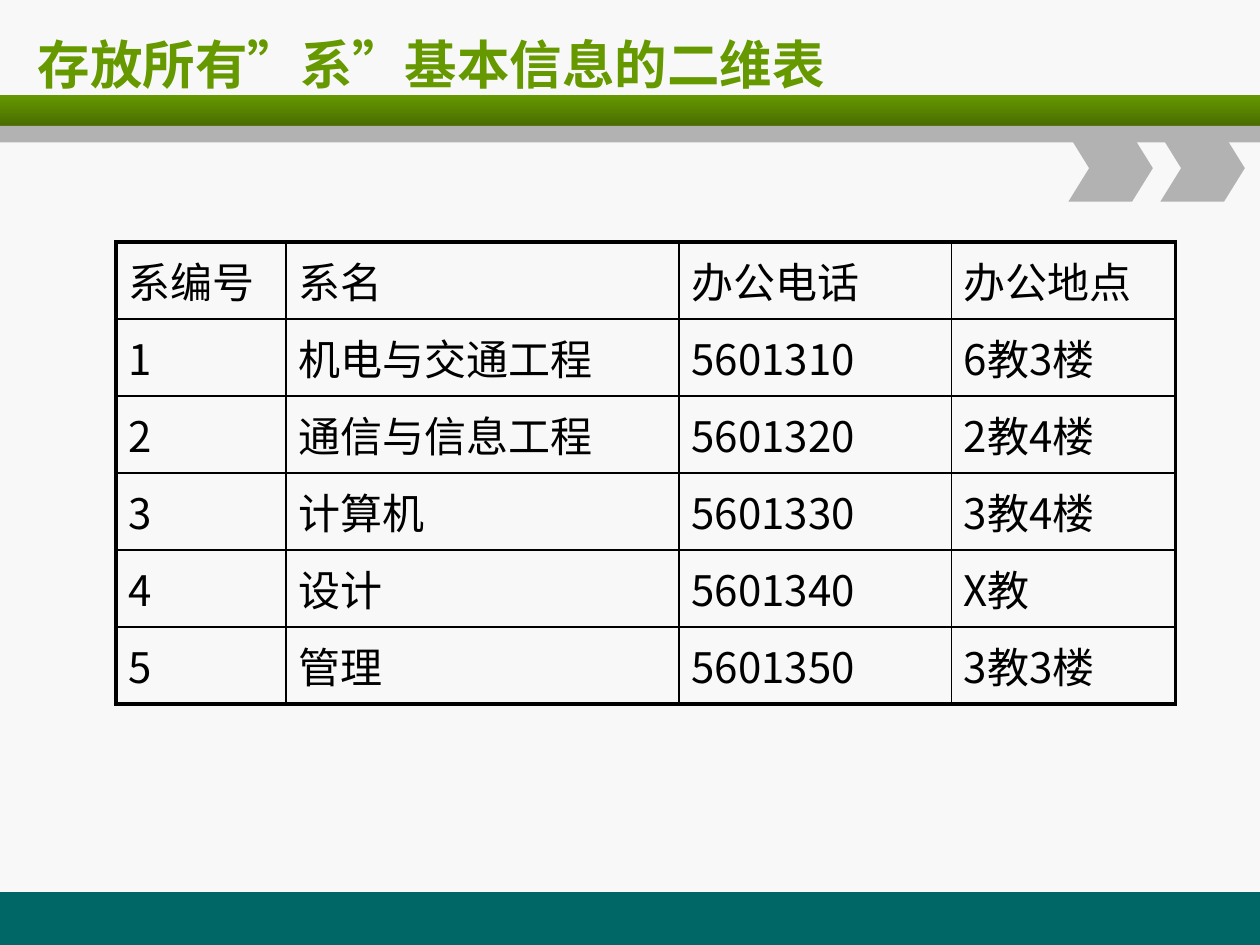
import lxml.etree
import pptx
import pptx.dml.color
import pptx.enum.shapes
import pptx.enum.text
import pptx.oxml.ns
import pptx.util
from pptx.util import Inches

RGBColor = pptx.dml.color.RGBColor
SHAPES = pptx.enum.shapes.MSO_SHAPE
MIDDLE = pptx.enum.text.MSO_ANCHOR.MIDDLE
qn = pptx.oxml.ns.qn

PAPER = RGBColor(0xF8, 0xF8, 0xF8)
TEAL = RGBColor(0x00, 0x66, 0x66)
GREEN = RGBColor(0x66, 0x99, 0x00)
DARK_GREEN = RGBColor(0x49, 0x6D, 0x00)
GREY = RGBColor(0xB2, 0xB2, 0xB2)
BLACK = RGBColor(0x00, 0x00, 0x00)

FONT = "Noto Sans CJK SC"
OUTER, INNER = 2.25, 1
COLUMN_WIDTHS = [1.35, 3.12, 2.16, 1.78]
DEPARTMENTS = [
    ["系编号", "系名", "办公电话", "办公地点"],
    ["1", "机电与交通工程", "5601310", "6教3楼"],
    ["2", "通信与信息工程", "5601320", "2教4楼"],
    ["3", "计算机", "5601330", "3教4楼"],
    ["4", "设计", "5601340", "X教"],
    ["5", "管理", "5601350", "3教3楼"],
]


def style_text(paragraph, size, color, bold=False):
    font = paragraph.font
    font.name, font.size, font.bold = FONT, pptx.util.Pt(size), bold
    font.color.rgb = color
    defaults = paragraph._p.pPr.find(qn("a:defRPr"))
    lxml.etree.SubElement(defaults, qn("a:ea"), typeface=FONT)


def add_block(slide, preset, left, top, width, height, color):
    block = slide.shapes.add_shape(
        preset, Inches(left), Inches(top), Inches(width), Inches(height))
    block.shadow.inherit = False
    block.fill.solid()
    block.fill.fore_color.rgb = color
    block.line.fill.background()
    return block


def add_header_band(slide, left, top, width):
    """Gradient bar, grey strip below it and two chevrons at the right."""
    bar = add_block(slide, SHAPES.RECTANGLE, left, top, width, 0.25, GREEN)
    bar.fill.gradient()
    bar.fill.gradient_angle = 270
    for stop, color in zip(bar.fill.gradient_stops, (GREEN, DARK_GREEN)):
        stop.color.rgb = color
    add_block(slide, SHAPES.RECTANGLE, left, top + 0.25, width, 0.13, GREY)
    for index in range(2):
        chevron = add_block(slide, SHAPES.CHEVRON, left + width - 1.52 + index * 0.73,
                            top + 0.32, 0.67, 0.53, GREY)
        chevron.adjustments[0] = 0.31


def add_title(slide, left, top, width, height):
    title = slide.shapes.add_textbox(
        Inches(left), Inches(top), Inches(width), Inches(height)).text_frame
    title.word_wrap = True
    title.vertical_anchor = MIDDLE
    title.text = "存放所有”系”基本信息的二维表"
    style_text(title.paragraphs[0], 30, GREEN, bold=True)


def set_borders(cell, widths):
    """Draw cell borders; widths maps the side letters L, R, T, B to points."""
    properties = cell._tc.get_or_add_tcPr()
    for side in "LRTB":
        border = lxml.etree.SubElement(
            properties, qn("a:ln" + side), w=str(pptx.util.Pt(widths[side])))
        fill = lxml.etree.SubElement(border, qn("a:solidFill"))
        lxml.etree.SubElement(fill, qn("a:srgbClr"), val=str(BLACK))


def add_department_table(slide, left, top, width, height):
    row_count, column_count = len(DEPARTMENTS), len(COLUMN_WIDTHS)
    table = slide.shapes.add_table(
        row_count, column_count,
        Inches(left), Inches(top), Inches(width), Inches(height)).table
    table.first_row = table.horz_banding = False
    for column, column_width in zip(table.columns, COLUMN_WIDTHS):
        column.width = Inches(column_width)
    for r, department in enumerate(DEPARTMENTS):
        for c, value in enumerate(department):
            cell = table.cell(r, c)
            cell.text = value
            cell.vertical_anchor = MIDDLE
            style_text(cell.text_frame.paragraphs[0], 24, BLACK)
            set_borders(cell, {
                "L": OUTER if c == 0 else INNER,
                "R": OUTER if c == column_count - 1 else INNER,
                "T": OUTER if r == 0 else INNER,
                "B": OUTER if r == row_count - 1 else INNER,
            })
            cell.fill.background()


def main():
    deck = pptx.Presentation()
    deck.slide_width, deck.slide_height = Inches(10), Inches(7.5)
    slide = deck.slides.add_slide(deck.slide_layouts[6])
    slide.background.fill.solid()
    slide.background.fill.fore_color.rgb = PAPER
    add_block(slide, SHAPES.RECTANGLE, 0, 7.08, 10, 0.42, TEAL)
    add_header_band(slide, 0, 0.75, 10)
    add_title(slide, 0.2, 0.17, 9.55, 0.67)
    add_department_table(slide, 0.92, 1.92, sum(COLUMN_WIDTHS), 3.67)
    deck.save("out.pptx")


if __name__ == "__main__":
    main()
